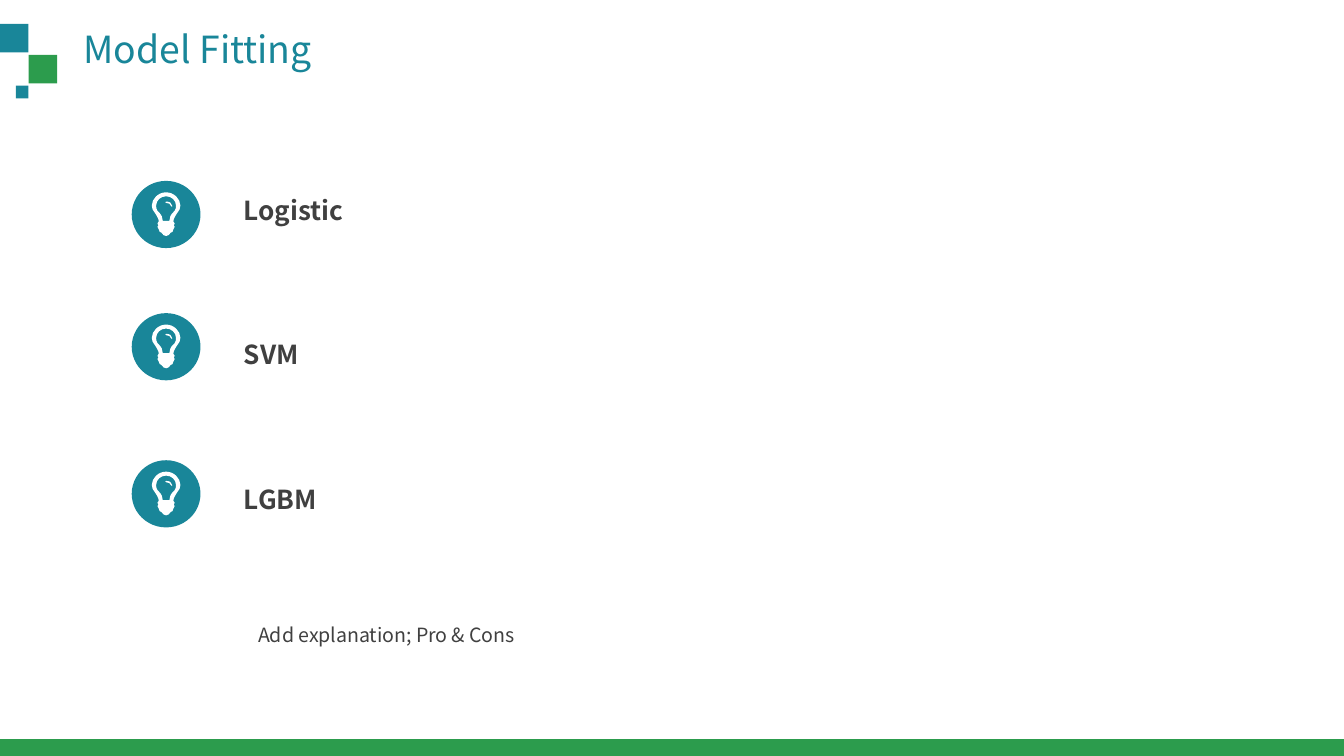
from dataclasses import dataclass

from pptx import Presentation
from pptx.dml.color import RGBColor
from pptx.enum.shapes import MSO_SHAPE
from pptx.oxml.ns import qn
from pptx.util import Cm, Pt

RECT, OVAL = MSO_SHAPE.RECTANGLE, MSO_SHAPE.OVAL


@dataclass(frozen=True)
class Theme:
    teal: RGBColor = RGBColor(0x19, 0x86, 0x99)
    green: RGBColor = RGBColor(0x2C, 0x9C, 0x4D)
    ink: RGBColor = RGBColor(0x40, 0x40, 0x40)
    white: RGBColor = RGBColor(0xFF, 0xFF, 0xFF)
    face: str = "Noto Sans CJK SC"
    title: float = 20
    label: float = 14
    note: float = 10.5


THEME = Theme()

# Cubic curves of the bulb, in units of 1/33 of its height, from its top centre.
SHELL = [(0, 0), (6, 0), (10.8, 5), (10.8, 10), (10.8, 12), (10, 14),
         (8.5, 15.5), (7.5, 17), (5.5, 20), (5.5, 22), (5.8, 22.3), (6.5, 23),
         (6.5, 23.5), (6.5, 24), (6, 24.5), (5.8, 25), (6, 25.3), (6.5, 25.5),
         (6.5, 26), (6.5, 27), (5.8, 27.5), (5.5, 28), (5.5, 29.5), (4.5, 30.5),
         (3.5, 30.5), (2.5, 32), (1.5, 33), (0, 33)]
GLASS = [(0, 3), (4, 3), (7.5, 6), (7.5, 10), (7.5, 11), (7.5, 13), (6.5, 14),
         (6.5, 14), (5.5, 14), (5.5, 15), (3.5, 17), (2.5, 19), (2.5, 21.5)]
GLINT = [(4.5, 11), (3.5, 11), (3.5, 10.5), (3.5, 10), (3.5, 9), (2, 8), (0, 8),
         (-0.8, 8), (-0.8, 7), (0, 7), (2.5, 7), (4.5, 8), (4.5, 10),
         (4.5, 10.5), (4.5, 11), (4.5, 11)]


def mirror(half):
    return [(-x, y) for x, y in reversed(half)] + half[1:]


def curve(shape):
    """Turn each three lines of the outline into one cubic curve."""
    lines = list(shape.element.iter(qn("a:lnTo")))
    for first, *rest in zip(lines[::3], lines[1::3], lines[2::3]):
        first.tag = qn("a:cubicBezTo")
        for line in rest:
            first.append(line[0])
            line.getparent().remove(line)


def paint(shape, tint):
    shape.shadow.inherit = False
    shape.fill.solid()
    shape.fill.fore_color.rgb = tint
    shape.line.fill.background()


def block(shapes, kind, box, tint):
    paint(shapes.add_shape(kind, *map(Cm, box)), tint)


def write(shapes, box, text, size, tint, space=1.0, bold=False, wrap=True):
    frame = shapes.add_textbox(*map(Cm, box)).text_frame
    frame.word_wrap = wrap
    para = frame.paragraphs[0]
    para.line_spacing = space
    run = para.add_run()
    run.text = text
    run.font.color.rgb = tint
    style = {"name": THEME.face, "size": Pt(size), "bold": bold}
    for key, value in style.items():
        setattr(run.font, key, value)


def bulb(shapes, box):
    """White light bulb on a teal disc that fills the box."""
    left, top, wide, high = box
    group = shapes.add_group_shape().shapes
    block(group, OVAL, box, THEME.teal)
    unit = high * 0.65 / 33
    mid, start = left + wide / 2, top + high * 0.17
    loops = [[(Cm(mid + x * unit), Cm(start + y * unit)) for x, y in loop]
             for loop in (mirror(SHELL), mirror(GLASS), GLINT)]
    pen = group.build_freeform(*loops[0][0])
    pen.add_line_segments(loops[0][1:])
    for loop in loops[1:]:
        pen.move_to(*loop[0])
        pen.add_line_segments(loop[1:])
    lamp = pen.convert_to_shape()
    curve(lamp)
    paint(lamp, THEME.white)


def header(shapes, box):
    left, top, wide, high = box
    group = shapes.add_group_shape().shapes
    for x, y, side, tint in ((0, 0, 0.54, THEME.teal),
                             (0.54, 0.59, 0.54, THEME.green),
                             (0.3, 1.17, 0.24, THEME.teal)):
        block(group, RECT, (left + x, top + y, side, side), tint)
    write(shapes, (left + 1.33, top - 0.08, wide - 1.33, high), "Model Fitting",
          THEME.title, THEME.teal, wrap=False)


def models(shapes, box):
    left, top, wide, high = box
    step = high / 3
    discs = (0.17, 2.67, 5.45)
    for i, (name, drop) in enumerate(zip(("Logistic", "SVM", "LGBM"), discs)):
        bulb(shapes, (left, top + drop, 1.3, 1.27))
        write(shapes, (left + 1.87, top + i * step, wide - 1.87, 1.14), name,
              THEME.label, THEME.ink, space=1.5, bold=True)


def footer(shapes, box):
    left, top, wide, high = box
    write(shapes, (left + 4.63, top, 17.81, 0.84), "Add explanation; Pro & Cons",
          THEME.note, THEME.ink, space=1.3)
    block(shapes, RECT, (left, top + high - 0.32, wide, 0.32), THEME.green)


def main():
    deck = Presentation()
    deck.slide_width, deck.slide_height = Cm(25.4), Cm(14.29)
    shapes = deck.slides.add_slide(deck.slide_layouts[6]).shapes
    header(shapes, (0, 0.45, 6.43, 1.12))
    models(shapes, (2.49, 3.25, 6.53, 8.19))
    footer(shapes, (0, 11.52, 25.4, 2.77))
    deck.save("out.pptx")


if __name__ == "__main__":
    main()
